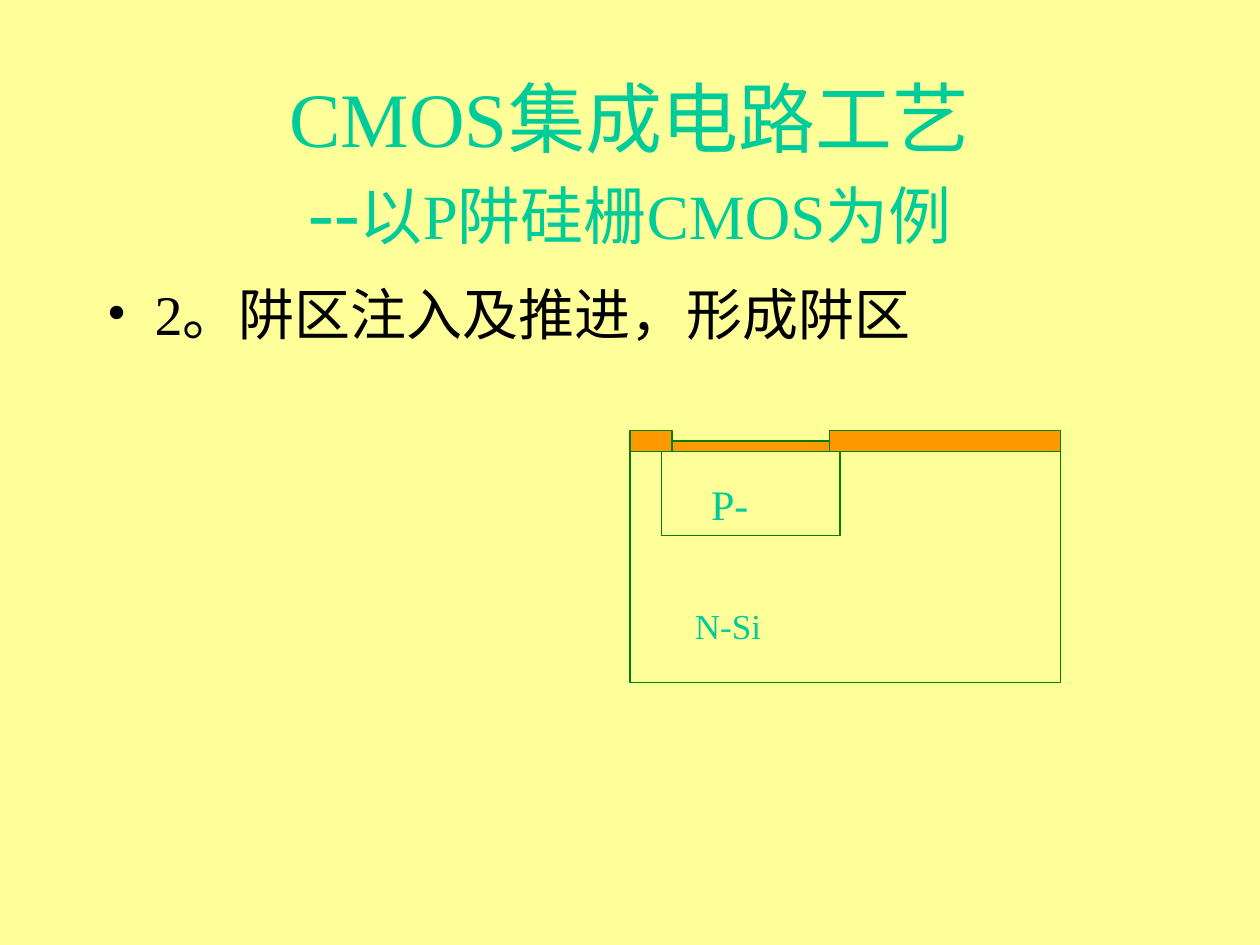
from lxml import etree
from pptx import Presentation, util as u
from pptx.dml.color import RGBColor
from pptx.enum import shapes, text
from pptx.oxml import ns

WIDTH, HEIGHT = u.Inches(10), u.Inches(7.5)
CELL = WIDTH // 120
FONT = "Times New Roman"
PAPER, TEAL, BLACK, GREEN, OXIDE = "FFFF99", "00CC99", "000000", "008000", "FF9900"
FRAME_FORMAT = {
    "margin_left": u.Inches(0.1), "margin_right": u.Inches(0.1),
    "margin_top": u.Inches(0.05), "margin_bottom": u.Inches(0.05),
    "auto_size": text.MSO_AUTO_SIZE.NONE,
}


def colour(hex_value):
    return RGBColor.from_string(hex_value)


def apply_format(target, values):
    for name, value in values.items():
        setattr(target, name, value)


def cells(box, left, top, width, height):
    """Turn grid cells, counted from the box's corner, into lengths."""
    return [round(n * CELL) for n in (box[0] + left, box[1] + top, width, height)]


def add_run(paragraph, wording, size, hex_value):
    run = paragraph.add_run()
    run.text = wording
    apply_format(run.font, {"name": FONT, "size": u.Pt(size)})
    run.font.color.rgb = colour(hex_value)


def add_title(slide, box):
    title = slide.shapes.title
    apply_format(title, dict(zip(("left", "top", "width", "height"), cells(box, 0, 0, *box[2:]))))
    frame = title.text_frame
    apply_format(frame, {**FRAME_FORMAT, "word_wrap": True,
                         "vertical_anchor": text.MSO_ANCHOR.MIDDLE})
    heading = frame.paragraphs[0]
    heading.alignment = text.PP_ALIGN.CENTER
    add_run(heading, "CMOS集成电路工艺", 44, TEAL)
    heading.add_line_break()
    add_run(heading, "--", 44, TEAL)
    add_run(heading, "以P阱硅栅CMOS为例", 36, TEAL)


def add_step(slide, box):
    frame = slide.shapes.add_textbox(*cells(box, 0, 0, *box[2:])).text_frame
    apply_format(frame, {**FRAME_FORMAT, "word_wrap": True})
    step = frame.paragraphs[0]
    step.space_before = u.Pt(8)
    add_run(step, "2。阱区注入及推进，形成阱区", 32, BLACK)
    properties = step._p.get_or_add_pPr()
    indent = u.Inches(0.38)
    properties.set("marL", str(indent))
    properties.set("indent", str(-indent))
    for tag, name, value in (("a:buFont", "typeface", FONT), ("a:buChar", "char", "•")):
        etree.SubElement(properties, ns.qn(tag)).set(name, value)


def add_layer(slide, area, fill=None):
    layer = slide.shapes.add_shape(shapes.MSO_SHAPE.RECTANGLE, *area)
    layer.shadow.inherit = False
    layer.line.color.rgb = colour(GREEN)
    layer.line.width = u.Pt(0.75)
    if fill:
        layer.fill.solid()
        layer.fill.fore_color.rgb = colour(fill)
    else:
        layer.fill.background()


def add_label(slide, area, wording, size, anchor, alignment):
    frame = slide.shapes.add_textbox(*area).text_frame
    apply_format(frame, {**FRAME_FORMAT, "word_wrap": False, "vertical_anchor": anchor})
    frame.paragraphs[0].alignment = alignment
    add_run(frame.paragraphs[0], wording, size, TEAL)


def add_cross_section(slide, box):
    """Draw the wafer: a P- well in N-Si under thick and thin oxide."""
    width, height = box[2:]
    thick, thin = 2, 1
    window_left, window_right = 4, 19
    well = (3, thick, 17, 8)
    thin_oxide = (window_left, thick - thin, window_right - window_left, thin)
    substrate = (0, thick, width, height - thick)
    left_oxide = (0, 0, window_left, thick)
    right_oxide = (window_right, 0, width - window_right, thick)
    for layer, fill in ((well, None), (thin_oxide, OXIDE), (substrate, None),
                        (left_oxide, OXIDE), (right_oxide, OXIDE)):
        add_layer(slide, cells(box, *layer), fill)
    add_label(slide, cells(box, 5, 16, 9, 5.3), "N-Si", 20,
              text.MSO_ANCHOR.TOP, text.PP_ALIGN.LEFT)
    add_label(slide, cells(box, 7, 5, 5, 4), "P-", 24,
              text.MSO_ANCHOR.MIDDLE, text.PP_ALIGN.CENTER)


def main():
    deck = Presentation()
    apply_format(deck, {"slide_width": WIDTH, "slide_height": HEIGHT})
    slide = deck.slides.add_slide(deck.slide_layouts[5])
    slide.background.fill.solid()
    slide.background.fill.fore_color.rgb = colour(PAPER)
    # Boxes are left, top, width, height on a grid of 120 columns and 90 rows.
    add_title(slide, (9, 8, 102, 15))
    add_step(slide, (9, 26, 102, 54))
    add_cross_section(slide, (60, 41, 41, 24))
    deck.save("out.pptx")


if __name__ == "__main__":
    main()
